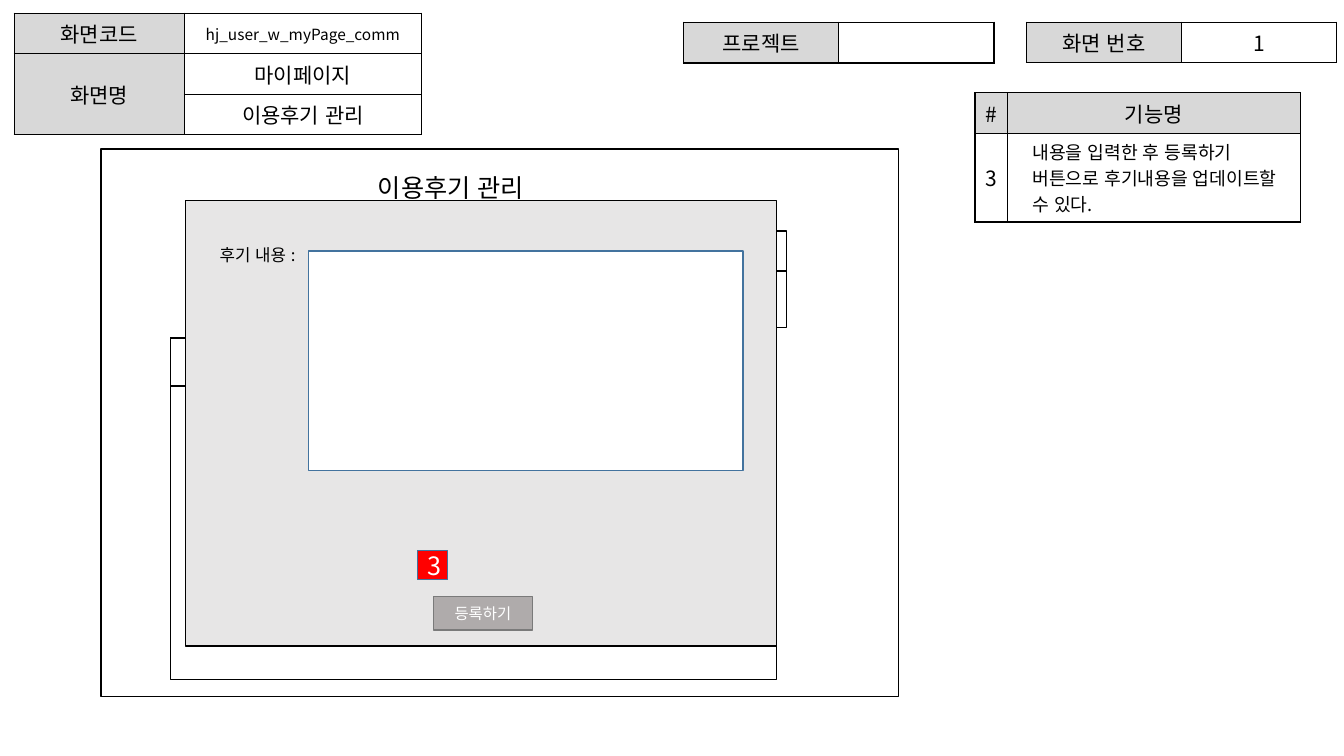
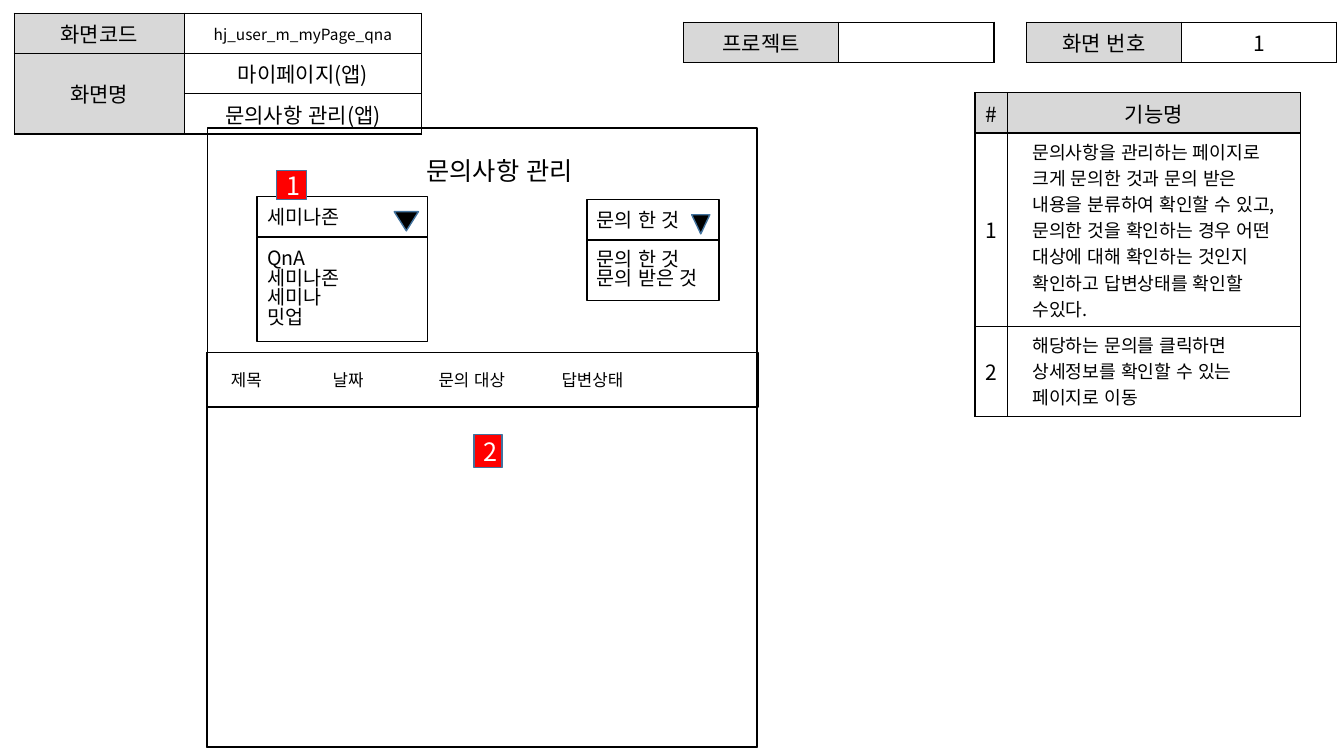
from lxml.etree import SubElement
from pptx import Presentation
from pptx.dml.color import RGBColor
from pptx.enum.lang import MSO_LANGUAGE_ID as Lang
from pptx.enum.shapes import MSO_SHAPE as Shape
from pptx.enum.text import MSO_ANCHOR as Anchor, PP_ALIGN as Align
from pptx.oxml import parse_xml
from pptx.oxml.ns import nsdecls, qn
from pptx.util import Inches, Pt

FONT = "Noto Sans CJK KR"
BLACK, WHITE, RED = "000000", "FFFFFF", "FF0000"
LABEL_GREY, PANEL_GREY, BUTTON_GREY, BUTTON_EDGE = "D8D8D8", "E7E6E6", "AFABAB", "7A7A7A"
BLUE_EDGE = "43739E"
ROW = 0.4


def rgb(code):
    """Turn a hex string into a colour."""
    return RGBColor.from_string(code)


def style_text(frame, size, color=BLACK, align=Align.LEFT, spacing=None):
    """Format every paragraph and run of a text frame."""
    for paragraph in frame.paragraphs:
        paragraph.alignment = align
        if spacing:
            paragraph.line_spacing = spacing
        for run in paragraph.runs:
            run.font.size = Pt(size)
            run.font.name = FONT
            run.font.language_id = Lang.KOREAN
            run.font.color.rgb = rgb(color)
            SubElement(run.font._element, qn("a:ea")).set("typeface", FONT)


def add_box(slide, left, top, width, height, text="", size=14, fill=None, edge=BLACK,
            color=BLACK, align=Align.LEFT, spacing=None, kind=Shape.RECTANGLE):
    """Draw an outlined shape with optional fill and text."""
    box = slide.shapes.add_shape(kind, Inches(left), Inches(top), Inches(width), Inches(height))
    box.shadow.inherit = False
    if fill:
        box.fill.solid()
        box.fill.fore_color.rgb = rgb(fill)
    else:
        box.fill.background()
    box.line.color.rgb = rgb(edge)
    box.line.width = Pt(1)
    if text:
        frame = box.text_frame
        frame.text = text
        frame.word_wrap = True
        frame.vertical_anchor = Anchor.MIDDLE
        style_text(frame, size, color, align, spacing)
    return box


def add_label(slide, left, top, width, text, size, align=Align.LEFT):
    """Place a line of plain text."""
    label = slide.shapes.add_textbox(Inches(left), Inches(top), Inches(width), Inches(ROW))
    label.text_frame.text = text
    label.text_frame.word_wrap = True
    style_text(label.text_frame, size, align=align)


def add_badge(slide, left, top, number, width=0.3, height=0.29):
    """Mark a function with a red number."""
    add_box(slide, left, top, width, height, number, 18, RED, BLUE_EDGE, WHITE, Align.CENTER)


def add_dropdown(slide, left, top, width, list_height, chosen, options, arrow_width):
    """Draw an open dropdown with its arrow and options."""
    add_box(slide, left, top, width, ROW, chosen)
    arrow = add_box(slide, left + width - arrow_width - 0.09, top + 0.15, arrow_width, 0.19,
                    fill=BLACK, edge=BLUE_EDGE, kind=Shape.ISOSCELES_TRIANGLE)
    arrow.rotation = 180
    add_box(slide, left, top + ROW, width, list_height, "\n".join(options), spacing=0.83)


def add_list_header(slide, left, top, width, height, titles, stops):
    """Draw a header row whose titles sit on tab stops."""
    header = add_box(slide, left, top, width, height, "placeholder")
    frame = header.text_frame
    frame.margin_left = Inches(0.23)
    paragraph = frame.paragraphs[0]
    paragraph.text = "\t".join(titles)
    tabs = SubElement(paragraph._p.get_or_add_pPr(), qn("a:tabLst"))
    for stop in stops:
        tab = SubElement(tabs, qn("a:tab"))
        tab.set("pos", str(Inches(stop)))
        tab.set("algn", "l")
    style_text(frame, 12)


def outline_cell(cell):
    """Give a cell thin black borders."""
    properties = cell._tc.get_or_add_tcPr()
    for index, side in enumerate(("lnL", "lnR", "lnT", "lnB")):
        properties.insert(index, parse_xml(
            f'<a:{side} {nsdecls("a")} w="12700"><a:solidFill>'
            f'<a:srgbClr val="{BLACK}"/></a:solidFill></a:{side}>'))


def add_grid(slide, left, top, widths, heights, rows, is_label):
    """Add a bordered table with grey label cells."""
    table = slide.shapes.add_table(
        len(rows), len(widths), Inches(left), Inches(top),
        Inches(sum(widths)), Inches(sum(heights))).table
    for column, width in zip(table.columns, widths):
        column.width = Inches(width)
    for row, height in zip(table.rows, heights):
        row.height = Inches(height)
    for r, texts in enumerate(rows):
        for c, text in enumerate(texts):
            cell = table.cell(r, c)
            cell.fill.solid()
            cell.fill.fore_color.rgb = rgb(LABEL_GREY if is_label(r, c) else WHITE)
            outline_cell(cell)
            cell.vertical_anchor = Anchor.MIDDLE
            cell.text_frame.text = text
            style_text(cell.text_frame, 15, align=Align.CENTER)
    return table


def add_frame(slide, code, page, section, features):
    """Add the tables that every screen sheet carries."""
    names = add_grid(slide, 0.14, 0.13, [1.69, 2.35], [ROW] * 3,
                     [["화면코드", code], ["화면명", page], ["", section]], lambda r, c: c == 0)
    names.cell(1, 0).merge(names.cell(2, 0))
    names.cell(0, 1).text_frame.paragraphs[0].runs[0].font.size = Pt(11)
    for left, title, value in [(10.18, "화면 번호", "1"), (6.78, "프로젝트", "")]:
        add_grid(slide, left, 0.22, [1.54, 1.54], [ROW], [[title, value]], lambda r, c: c == 0)
    rows = [["#", "기능명"]] + [[number, text] for number, text, _ in features]
    heights = [ROW] + [height for _, _, height in features]
    functions = add_grid(slide, 9.67, 0.92, [0.32, 2.91], heights, rows, lambda r, c: r == 0)
    for r in range(1, len(rows)):
        description = functions.cell(r, 1)
        description.vertical_anchor = Anchor.TOP
        paragraph = description.text_frame.paragraphs[0]
        paragraph.alignment = Align.LEFT
        paragraph._p.get_or_add_pPr().set("marL", str(Inches(0.15)))
        paragraph.runs[0].font.size = Pt(13)


def build_review_screen(slide):
    """Lay out the review editing screen."""
    add_frame(slide, "hj_user_w_myPage_comm", "마이페이지", "이용후기 관리", [
        ("3", "내용을 입력한 후 등록하기 버튼으로 후기내용을 업데이트할 수 있다.", 0.88)])
    add_box(slide, 1, 1.48, 7.91, 5.43)
    add_label(slide, 3.65, 1.66, 2.61, "이용후기 관리", 18)
    add_box(slide, 6.11, 2.29, 1.69, ROW)
    add_box(slide, 6.11, 2.69, 1.69, 0.56)
    add_box(slide, 1.69, 3.35, 6.01, 3.39)
    add_box(slide, 1.69, 3.36, 6.01, 0.47)
    add_box(slide, 1.84, 1.99, 5.86, 4.42, fill=PANEL_GREY)
    add_label(slide, 2.08, 2.38, 2.77, "후기 내용 :", 12)
    add_box(slide, 4.3, 5.92, 0.98, 0.33, "등록하기", 11, BUTTON_GREY, BUTTON_EDGE,
            WHITE, Align.CENTER)
    add_box(slide, 3.06, 2.49, 4.31, 2.18, fill=WHITE, edge=BLUE_EDGE)
    add_badge(slide, 4.14, 5.46, "3")


def build_inquiry_screen(slide):
    """Lay out the mobile inquiry list screen."""
    add_frame(slide, "hj_user_m_myPage_qna", "마이페이지(앱)", "문의사항 관리(앱)", [
        ("1", "문의사항을 관리하는 페이지로 크게 문의한 것과 문의 받은 내용을 분류하여 "
              "확인할 수 있고, 문의한 것을 확인하는 경우 어떤 대상에 대해 확인하는 것인지 "
              "확인하고 답변상태를 확인할 수있다.", 1.92),
        ("2", "해당하는 문의를 클릭하면 상세정보를 확인할 수 있는 페이지로 이동", 0.89)])
    add_box(slide, 2.06, 1.27, 5.45, 6.14)
    add_label(slide, 3.65, 1.49, 2.61, "문의사항 관리", 18, Align.CENTER)
    add_dropdown(slide, 2.55, 1.95, 1.69, 1.04, "세미나존",
                 ["QnA", "세미나존", "세미나", "밋업"], 0.24)
    add_badge(slide, 2.74, 1.69, "1")
    add_box(slide, 2.05, 3.5, 5.46, 3.91)
    add_list_header(slide, 2.06, 3.5, 5.46, 0.54,
                    ["제목", "날짜", "문의 대상", "답변상태"], [1.01, 2.06, 3.28])
    add_badge(slide, 4.7, 4.31, "2", 0.28, 0.33)
    add_dropdown(slide, 5.82, 1.98, 1.31, 0.6, "문의 한 것", ["문의 한 것", "문의 받은 것"], 0.18)


def main():
    """Build and save the screen sheets."""
    deck = Presentation()
    deck.slide_width, deck.slide_height = Inches(13.33), Inches(7.5)
    for build in (build_review_screen, build_inquiry_screen):
        build(deck.slides.add_slide(deck.slide_layouts[6]))
    deck.save("out.pptx")


if __name__ == "__main__":
    main()
